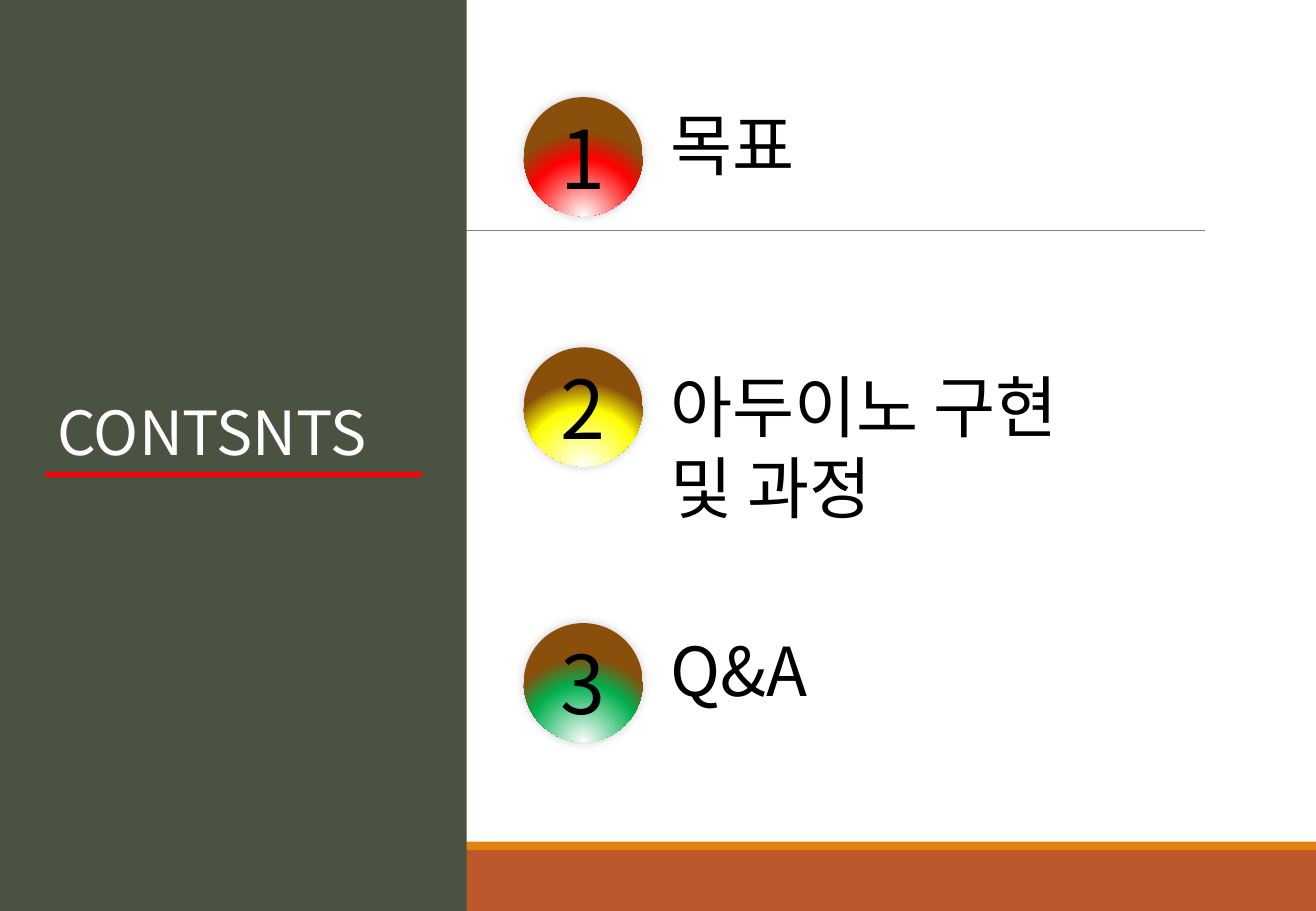
"""Builds a contents slide with three numbered topics."""
from lxml import etree
from pptx import Presentation
from pptx.dml.color import RGBColor
from pptx.enum.shapes import MSO_CONNECTOR, MSO_SHAPE
from pptx.enum.text import MSO_ANCHOR, MSO_AUTO_SIZE, PP_ALIGN
from pptx.oxml import parse_xml
from pptx.oxml.ns import nsdecls, qn
from pptx.util import Emu, Pt

STRAIGHT = MSO_CONNECTOR.STRAIGHT
RECTANGLE, OVAL = MSO_SHAPE.RECTANGLE, MSO_SHAPE.OVAL
TOP, MIDDLE = MSO_ANCHOR.TOP, MSO_ANCHOR.MIDDLE
LEFT, CENTER = PP_ALIGN.LEFT, PP_ALIGN.CENTER
NO_AUTOFIT = MSO_AUTO_SIZE.NONE

PX = 9144
FONT = "Noto Sans CJK KR"
COLORS = {
    "panel": "4A5242", "footer": "BD582C", "stripe": "E48312",
    "rule": "808080", "underline": "FF0000", "white": "FFFFFF",
    "text": "000000", "rim": "894F0B",
    "red": "FF0000", "yellow": "FFFF00", "green": "00B050",
}
TOPICS = [
    ("1", "목표", "red", 80, (80, 291, 77)),
    ("2", "아두이노 구현 및 과정", "yellow", 286, (296, 394, 145)),
    ("3", "Q&A", "green", 513, (513, 291, 77)),
]
BADGE_LEFT, BADGE_SIZE, LABEL_LEFT = 431, 98, 542


def px(*lengths):
    return [Emu(length * PX) for length in lengths]


def color(name):
    return RGBColor.from_string(COLORS[name])


def write_text(shape, text, size, color_name, align=LEFT, anchor=TOP):
    frame = shape.text_frame
    frame.word_wrap = True
    frame.auto_size = NO_AUTOFIT
    frame.vertical_anchor = anchor
    paragraph = frame.paragraphs[0]
    paragraph.alignment = align
    run = paragraph.add_run()
    run.text = text
    run.font.size = Pt(size)
    run.font.name = FONT
    run.font.color.rgb = color(color_name)
    east_asian = etree.SubElement(run.font._element, qn("a:ea"))
    east_asian.set("typeface", FONT)


def add_band(slide, box, color_name):
    band = slide.shapes.add_shape(RECTANGLE, *px(*box))
    band.shadow.inherit = False
    band.fill.solid()
    band.fill.fore_color.rgb = color(color_name)
    band.line.fill.background()


def add_rule(slide, left, right, y, color_name, width):
    rule = slide.shapes.add_connector(STRAIGHT, *px(left, y, right, y))
    rule.line.color.rgb = color(color_name)
    rule.line.width = Pt(width)
    etree.SubElement(rule._element.spPr, qn("a:effectLst"))


def add_title(slide, text, box):
    title = slide.shapes.title
    title.left, title.top, title.width, title.height = px(*box)
    write_text(title, text, 36, "white")
    slide.shapes._spTree.append(title._element)


def add_badge(slide, number, top, color_name):
    badge = slide.shapes.add_shape(
        OVAL, *px(BADGE_LEFT, top, BADGE_SIZE, BADGE_SIZE))
    badge.line.fill.background()
    stops = "".join(
        f'<a:gs pos="{position * 1000}"><a:srgbClr val="{COLORS[name]}"/></a:gs>'
        for position, name in ((0, "white"), (69, color_name), (100, "rim")))
    gradient = parse_xml(
        f'<a:gradFill {nsdecls("a")} rotWithShape="1"><a:gsLst>{stops}</a:gsLst>'
        '<a:path path="circle"><a:fillToRect l="50000" t="130000" r="50000" '
        'b="-30000"/></a:path></a:gradFill>')
    shadow = parse_xml(
        f'<a:effectLst {nsdecls("a")}><a:outerShdw blurRad="76200" dist="0" '
        f'dir="18900000"><a:srgbClr val="{COLORS["text"]}">'
        '<a:alpha val="20000"/></a:srgbClr></a:outerShdw></a:effectLst>')
    properties = badge._element.spPr
    properties.find(qn("a:prstGeom")).addnext(gradient)
    properties.append(shadow)
    write_text(badge, number, 48, "text", CENTER, MIDDLE)


def add_label(slide, text, top, width, height):
    label = slide.shapes.add_textbox(*px(LABEL_LEFT, top, width, height))
    write_text(label, text, 40, "text")


def main():
    presentation = Presentation()
    presentation.slide_width, presentation.slide_height = px(1083, 750)
    slide = presentation.slides.add_slide(presentation.slide_layouts[5])
    add_band(slide, (0, 700, 1083, 50), "footer")
    add_band(slide, (0, 693, 1083, 7), "stripe")
    add_rule(slide, 106, 992, 190, "rule", 0.5)
    add_band(slide, (0, 0, 384, 750), "panel")
    add_title(slide, "CONTSNTS", (37, 320, 310, 71))
    add_rule(slide, 37, 347, 391, "underline", 3)
    for number, text, color_name, badge_top, label_box in TOPICS:
        add_badge(slide, number, badge_top, color_name)
        add_label(slide, text, *label_box)
    presentation.save("out.pptx")


if __name__ == "__main__":
    main()
